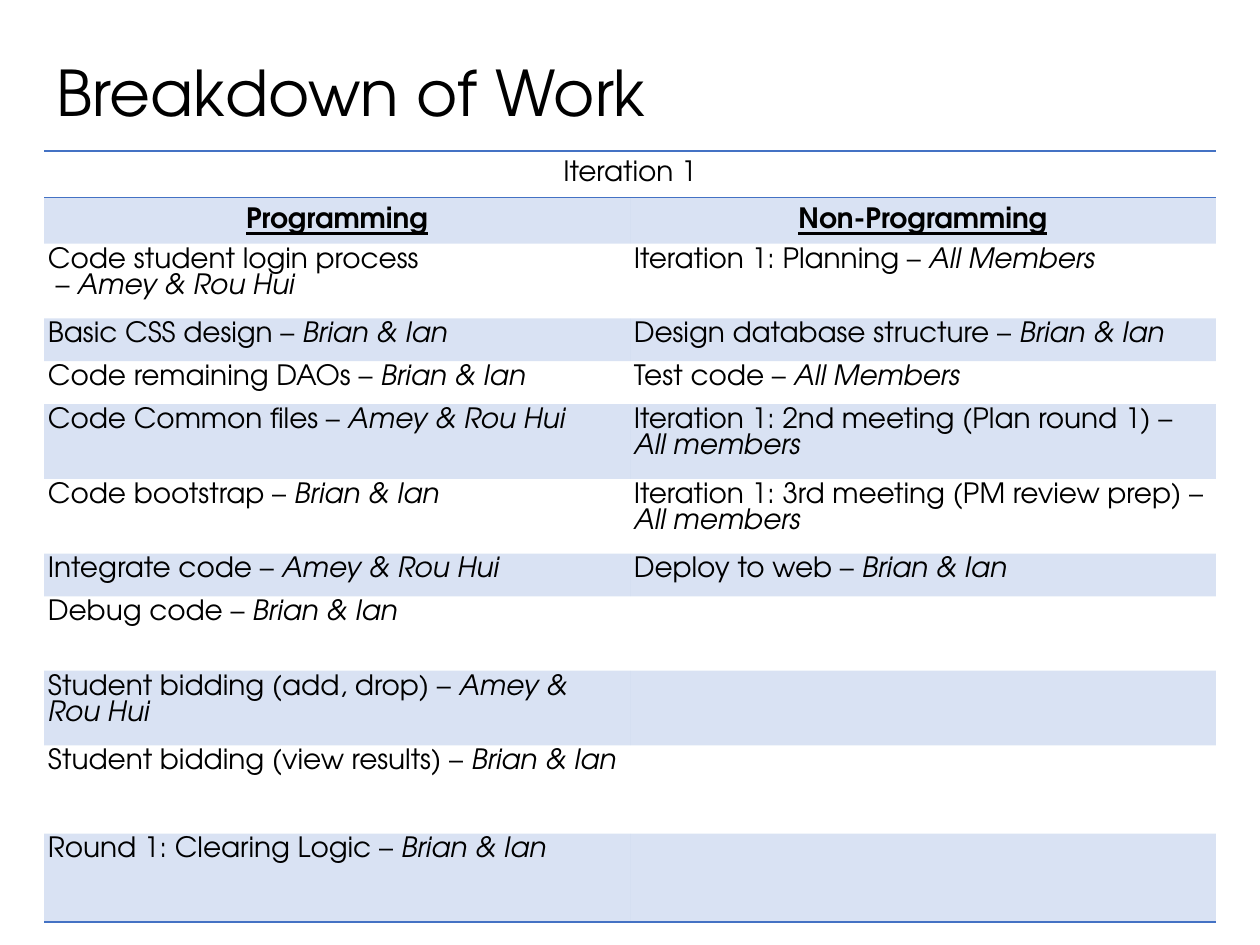
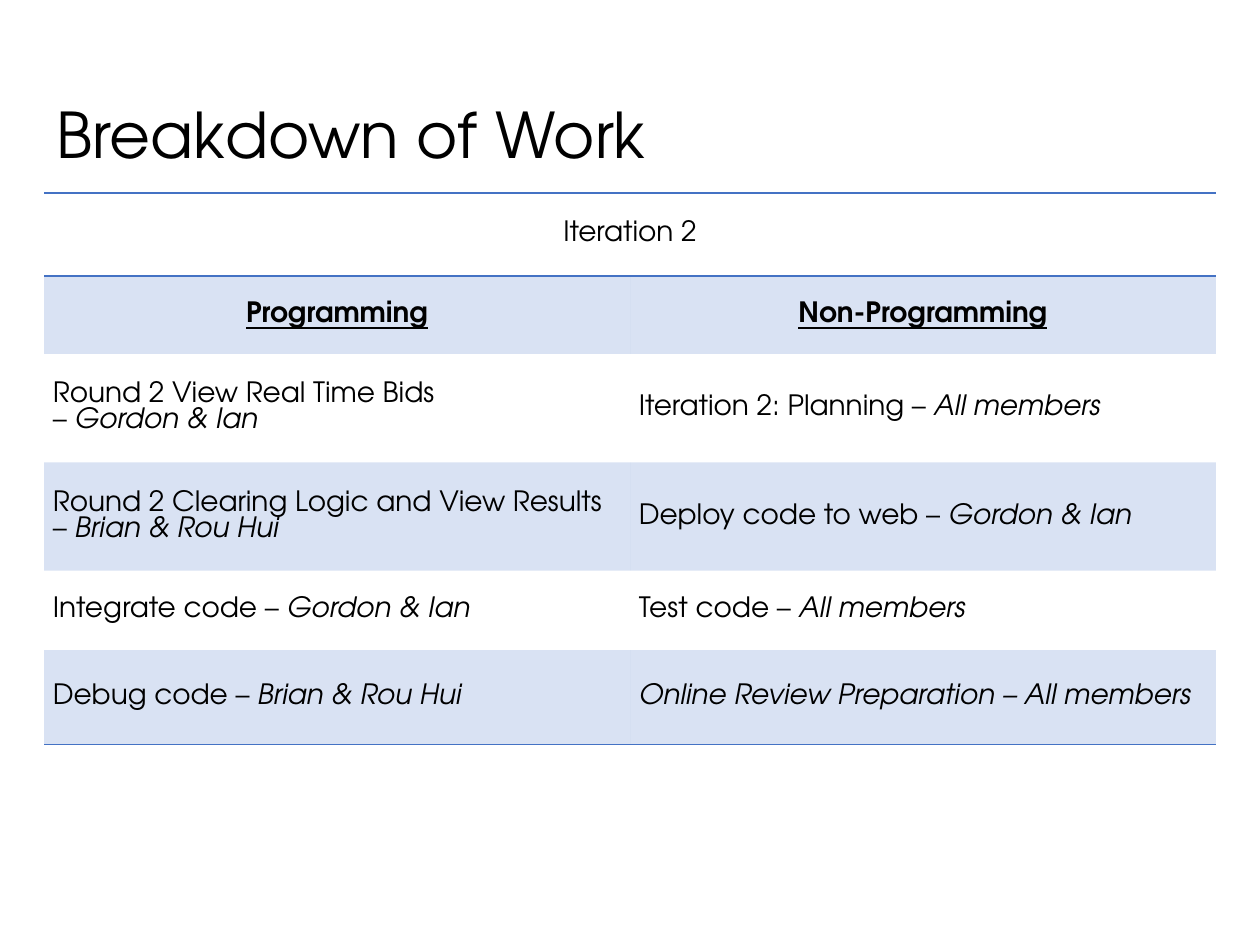
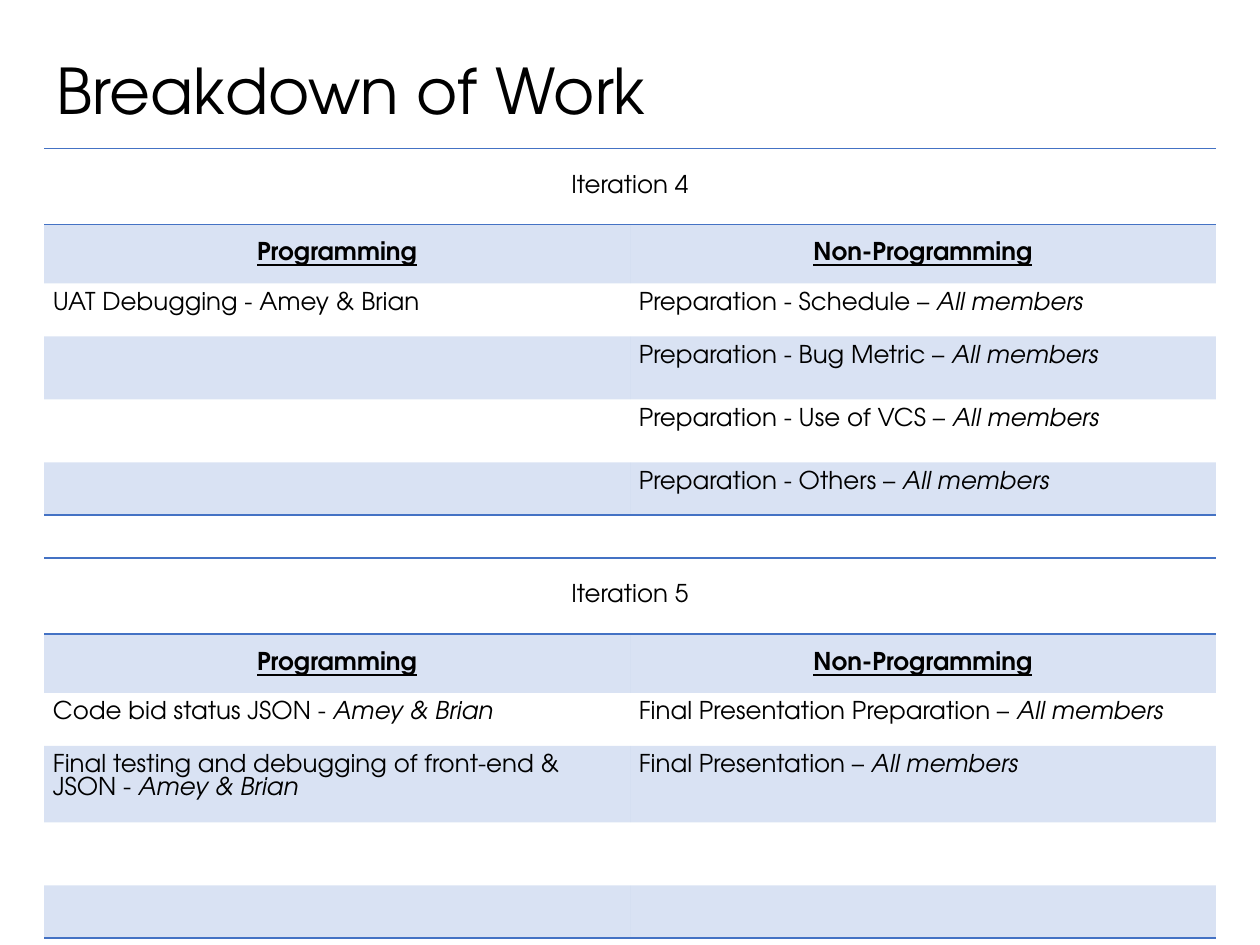
"""Build three slides that list the work done in each round of a project."""
import dataclasses

import lxml.etree
import pptx
import pptx.dml.color
import pptx.enum.text
import pptx.oxml.ns
import pptx.util

Inches = pptx.util.Inches
ALIGN = pptx.enum.text.PP_ALIGN
ANCHOR = pptx.enum.text.MSO_ANCHOR
PLAIN_STYLE = "{2D5ABB26-0587-4C30-8999-92F81FD0307C}"


@dataclasses.dataclass(frozen=True)
class Theme:
    """Hold the look that all slides share."""
    font: str = "TeX Gyre Adventor"
    ink: str = "000000"
    blue: str = "4472C4"
    tint: int = 20
    rule: float = 1
    title: float = 36
    large: float = 16
    small: float = 14
    left: float = 0.35
    width: float = 9.3
    title_width: float = 6.25
    title_height: float = 0.87


THEME = Theme()

FIRST = [
    (0.59, "Code student login process\n – *Amey & Rou Hui", "Iteration 1: Planning – *All Members"),
    (0.34, "Basic CSS design – *Brian & Ian", "Design database structure – *Brian & Ian"),
    (0.34, "Code remaining DAOs – *Brian & Ian", "Test code – *All Members"),
    (0.58, "Code Common files – *Amey & Rou Hui", "Iteration 1: 2nd meeting (Plan round 1) – *All members"),
    (0.59, "Code bootstrap – *Brian & Ian", "Iteration 1: 3rd meeting (PM review prep) – *All members"),
    (0.34, "Integrate code – *Amey & Rou Hui", "Deploy to web – *Brian & Ian"),
    (0.59, "Debug code – *Brian & Ian", ""),
    (0.59, "Student bidding (add, drop) – *Amey & Rou Hui", ""),
    (0.7, "Student bidding (view results) – *Brian & Ian", ""),
    (0.7, "Round 1: Clearing Logic – *Brian & Ian", ""),
]
SECOND = [
    (0.86, "Round 2 View Real Time Bids\n– *Gordon & Ian", "Iteration 2: Planning – *All members"),
    (0.86, "Round 2 Clearing Logic and View Results – *Brian & Rou Hui", "Deploy code to web – *Gordon & Ian"),
    (0.63, "Integrate code – *Gordon & Ian", "Test code – *All members"),
    (0.75, "Debug code – *Brian & Rou Hui", "*Online Review Preparation – All members"),
]
FOURTH = [
    (0.42, "UAT Debugging - Amey & Brian", "Preparation - Schedule – *All members"),
    (0.5, "", "Preparation - Bug Metric – *All members"),
    (0.5, "", "Preparation - Use of VCS – *All members"),
    (0.42, "", "Preparation - Others – *All members"),
]
FIFTH = [
    (0.42, "Code bid status JSON - *Amey & Brian", "Final Presentation Preparation – *All members"),
    (0.5, "Final testing and debugging of front-end & JSON - *Amey & Brian", "Final Presentation – *All members"),
    (0.5, "", ""),
    (0.42, "", ""),
]


def write(frame, text, size, bold=False, line=False, align=ALIGN.LEFT, space=None):
    """Write lines of text, with the part after a star in italics."""
    for index, words in enumerate(text.split("\n")):
        para = frame.add_paragraph() if index else frame.paragraphs[0]
        para.alignment = align
        para.line_spacing = space
        for slant, part in enumerate(words.split("*")):
            if part:
                run = para.add_run()
                run.text = part
                font = run.font
                font.name, font.size = THEME.font, pptx.util.Pt(size)
                font.bold, font.italic, font.underline = bold, bool(slant), line
                font.color.rgb = pptx.dml.color.RGBColor.from_string(THEME.ink)


def add_title(slide, bottom):
    """Add the slide title so that it ends where the table starts."""
    box = slide.shapes.add_textbox(Inches(THEME.left), Inches(bottom - THEME.title_height),
                                   Inches(THEME.title_width), Inches(THEME.title_height))
    frame = box.text_frame
    frame.word_wrap = True
    frame.vertical_anchor = ANCHOR.MIDDLE
    write(frame, "Breakdown of Work", THEME.title, space=0.9)


def add_node(parent, tag, **attrs):
    """Add a drawing node with its attributes."""
    node = lxml.etree.SubElement(parent, pptx.oxml.ns.qn(tag))
    for name, value in attrs.items():
        node.set(name, str(value))
    return node


def shade(cell, tinted):
    """Fill a cell with the pale band, or leave it clear."""
    if not tinted:
        cell.fill.background()
        return
    cell.fill.solid()
    cell.fill.fore_color.rgb = pptx.dml.color.RGBColor.from_string(THEME.blue)
    tone = cell._tc.tcPr.find(".//" + pptx.oxml.ns.qn("a:srgbClr"))
    add_node(tone, "a:alpha", val=THEME.tint * 1000)


def rule(cell, *tags):
    """Draw blue lines on the named sides of a cell."""
    props = cell._tc.get_or_add_tcPr()
    for index, tag in enumerate(tags):
        edge = add_node(props, tag, w=pptx.util.Pt(THEME.rule))
        add_node(add_node(edge, "a:solidFill"), "a:srgbClr", val=THEME.blue)
        props.insert(index, edge)


def pad(cell, inset, anchor):
    """Set equal margins and the anchor of a cell."""
    cell.margin_left = cell.margin_right = Inches(inset)
    cell.margin_top = cell.margin_bottom = Inches(inset)
    cell.vertical_anchor = anchor


def add_table(slide, top, head, rows, heights, size, inset=0.07, anchor=ANCHOR.TOP):
    """Add one work table with its head, column names and tasks."""
    heights = [*heights, *(row[0] for row in rows)]
    shape = slide.shapes.add_table(len(heights), 2, Inches(THEME.left), Inches(top),
                                   Inches(THEME.width), Inches(sum(heights)))
    table = shape.table
    table.first_row = table.horz_banding = False
    table._tbl.tblPr.find(pptx.oxml.ns.qn("a:tableStyleId")).text = PLAIN_STYLE
    names = ("Programming", "Non-Programming")
    texts = [(head, ""), names, *(row[1:] for row in rows)]
    table.cell(0, 0).merge(table.cell(0, 1))
    for index, (height, pair) in enumerate(zip(heights, texts)):
        table.rows[index].height = Inches(height)
        for cell, text in zip(table.rows[index].cells, pair):
            shade(cell, index % 2)
            if index == 0:
                rule(cell, "a:lnT", "a:lnB")
            if index == len(heights) - 1:
                rule(cell, "a:lnB")
            if index < 2:
                cell.vertical_anchor = ANCHOR.MIDDLE
                write(cell.text_frame, text, size, bold=index == 1, line=index == 1, align=ALIGN.CENTER)
            elif text:
                pad(cell, inset, anchor)
                write(cell.text_frame, text, size)


def add_page(deck, top):
    """Add a blank slide with its title above the given top."""
    slide = deck.slides.add_slide(deck.slide_layouts[6])
    add_title(slide, top)
    return slide


def main():
    """Build and save the deck."""
    deck = pptx.Presentation()
    deck.slide_width, deck.slide_height = Inches(10), Inches(7.5)
    add_table(add_page(deck, 1.2), 1.2, "Iteration 1", FIRST, (0.35, 0.35), THEME.large, inset=0.03)
    add_table(add_page(deck, 1.53), 1.53, "Iteration 2", SECOND, (0.66, 0.62), THEME.large,
              anchor=ANCHOR.MIDDLE)
    last = add_page(deck, 1.18)
    for top, head, rows in ((1.18, "Iteration 4", FOURTH), (4.43, "Iteration 5", FIFTH)):
        add_table(last, top, head, rows, (0.6, 0.47), THEME.small)
    deck.save("out.pptx")


if __name__ == "__main__":
    main()
